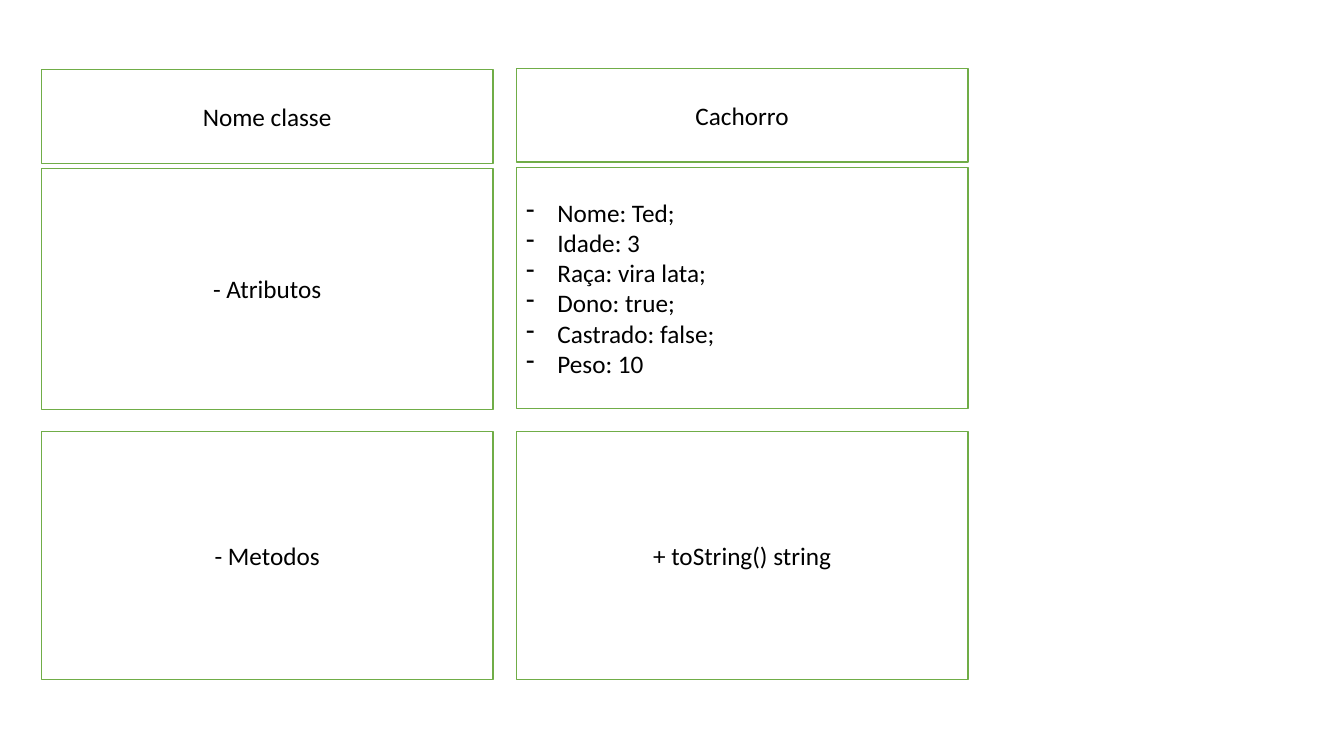
from lxml import etree
from pptx import Presentation
from pptx import util as u
from pptx.dml import color
from pptx.enum import shapes, text
from pptx.oxml import ns

COLORS = {"paper": "FFFFFF", "border": "70AD47", "ink": "000000"}


class ClassDiagram:
    """Holds the box style and the current slide."""

    font_name = "Calibri"
    font_size = u.Pt(18)
    line_width = u.Pt(1)
    bullet_indent = u.Inches(0.31)

    def __init__(self, slide):
        self.slide = slide

    def rgb(self, name):
        return color.RGBColor.from_string(COLORS[name])

    def box(self, left, top, width, height, lines, bulleted=False):
        shape = self.slide.shapes.add_shape(
            shapes.MSO_SHAPE.RECTANGLE,
            u.Inches(left), u.Inches(top), u.Inches(width), u.Inches(height))
        shape.shadow.inherit = False
        shape.fill.solid()
        shape.fill.fore_color.rgb = self.rgb("paper")
        shape.line.color.rgb = self.rgb("border")
        shape.line.width = self.line_width
        frame = shape.text_frame
        frame.word_wrap = True
        frame.vertical_anchor = text.MSO_ANCHOR.MIDDLE
        frame.text = "\n".join(lines)
        for paragraph in frame.paragraphs:
            paragraph.font.name = self.font_name
            paragraph.font.size = self.font_size
            paragraph.font.color.rgb = self.rgb("ink")
            if bulleted:
                paragraph.alignment = text.PP_ALIGN.LEFT
                self.dash(paragraph)
            else:
                paragraph.alignment = text.PP_ALIGN.CENTER

    def dash(self, paragraph):
        properties = paragraph._p.get_or_add_pPr()
        properties.set("marL", str(self.bullet_indent))
        properties.set("indent", str(-self.bullet_indent))
        bullet = etree.Element(ns.qn("a:buChar"), char="-")
        properties.insert(0, bullet)


presentation = Presentation()
presentation.slide_width = u.Inches(13.33)
presentation.slide_height = u.Inches(7.5)
blank_layout = presentation.slide_layouts[6]
diagram = ClassDiagram(presentation.slides.add_slide(blank_layout))

BOX_WIDTH = 4.48
ROW_HEIGHTS = (0.93, 2.39, 2.46)
DOG_ATTRIBUTES = ["Nome: Ted;", "Idade: 3", "Raça: vira lata;",
                  "Dono: true;", "Castrado: false;", "Peso: 10"]
COLUMNS = (
    (0.41, (0.69, 1.67, 4.28), (["Nome classe"], ["- Atributos"], ["- Metodos"])),
    (5.12, (0.68, 1.66, 4.28), (["Cachorro"], DOG_ATTRIBUTES, ["+ toString() string"])),
)

for left, tops, contents in COLUMNS:
    for top, height, lines in zip(tops, ROW_HEIGHTS, contents):
        diagram.box(left, top, BOX_WIDTH, height, lines, bulleted=len(lines) > 1)

presentation.save("out.pptx")
